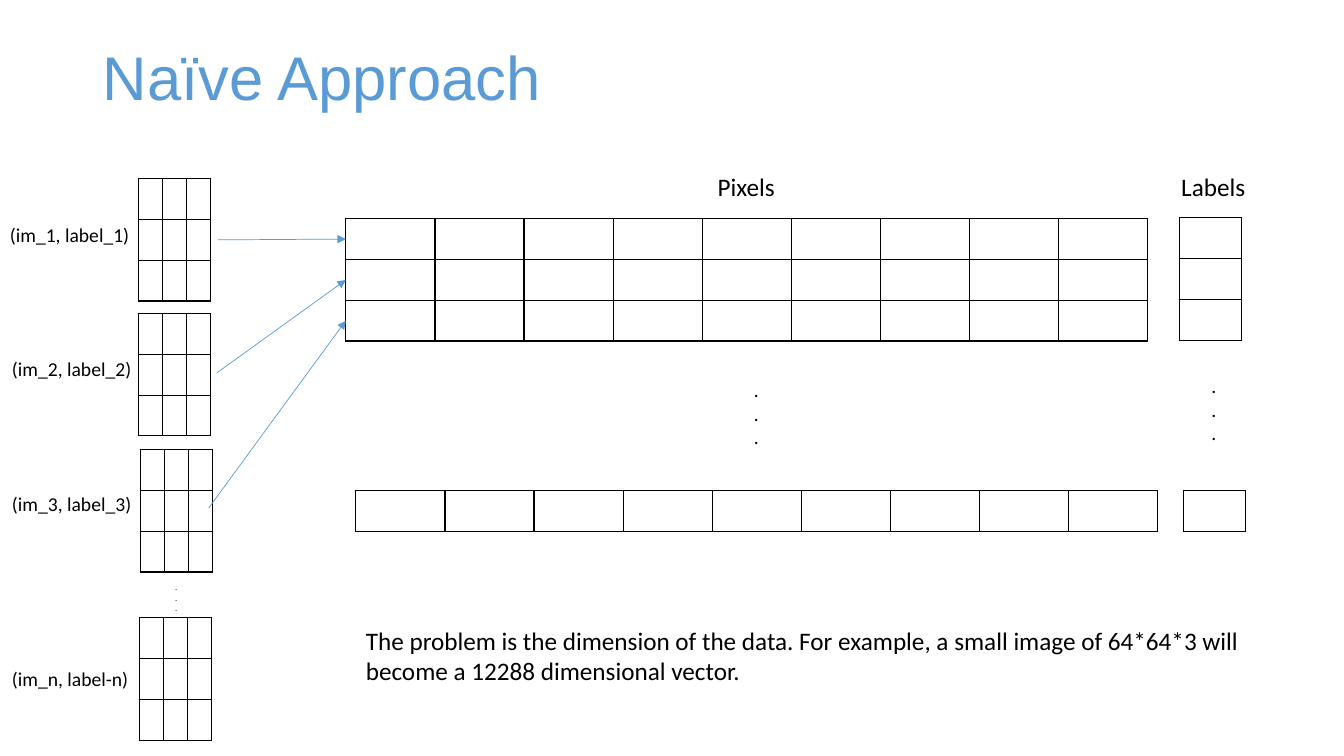
from lxml import etree
from pptx import Presentation
from pptx.dml.color import RGBColor
from pptx.enum.shapes import MSO_CONNECTOR
from pptx.enum.text import MSO_ANCHOR, MSO_AUTO_SIZE, PP_ALIGN
from pptx.oxml import parse_xml
from pptx.oxml.ns import qn
from pptx.util import Inches, Pt

LINE = MSO_CONNECTOR.STRAIGHT
MIDDLE = MSO_ANCHOR.MIDDLE
FIT, FIXED = MSO_AUTO_SIZE.SHAPE_TO_FIT_TEXT, MSO_AUTO_SIZE.NONE
LEFT = PP_ALIGN.LEFT
NS = "http://schemas.openxmlformats.org/drawingml/2006/main"
COLORS = {"blue": "5B9BD5", "ink": "000000"}
WIDE, HIGH = Inches(13.333), Inches(7.5)
ROW = 5.4  # height of a table row, in percent of the slide
DOTS = ".\n.\n."


class Board:
    """Draws on one slide; every length is a percent of the slide's size."""

    def __init__(self, slide):
        self.slide = slide
        self.shapes = slide.shapes

    def scale(self, x, y):
        return int(WIDE * x / 100), int(HIGH * y / 100)

    def style(self, frame, size, font, color):
        for para in frame.paragraphs:
            for run in para.runs:
                run.font.size = Pt(size)
                run.font.name = font
                run.font.color.rgb = RGBColor.from_string(COLORS[color])

    def title(self, text, x, y, w, h):
        shape = self.shapes.title
        shape.left, shape.top = self.scale(x, y)
        shape.width, shape.height = self.scale(w, h)
        frame = shape.text_frame
        frame.text = text
        frame.auto_size = FIXED
        frame.vertical_anchor = MIDDLE
        frame.paragraphs[0].alignment = LEFT
        frame.paragraphs[0].line_spacing = 0.9
        self.style(frame, 44, "Arial", "blue")

    def text(self, text, x, y, w, h, size, wrap=False):
        box = self.shapes.add_textbox(*self.scale(x, y), *self.scale(w, h))
        frame = box.text_frame
        frame.text = text
        frame.word_wrap = wrap
        frame.auto_size = FIT
        self.style(frame, size, "Calibri", "ink")

    def border(self, cell):
        props = cell._tc.get_or_add_tcPr()
        for side in "LRTB":
            props.append(parse_xml(
                f'<a:ln{side} xmlns:a="{NS}" w="12700"><a:solidFill>'
                f'<a:srgbClr val="{COLORS["ink"]}"/></a:solidFill></a:ln{side}>'))

    def grid(self, x, y, rows, cols, wide):
        """Add an empty table whose columns are each `wide` across."""
        frame = self.shapes.add_table(
            rows, cols, *self.scale(x, y), *self.scale(wide * cols, ROW * rows))
        table = frame.table
        table.first_row = table.horz_banding = False
        for cell in table.iter_cells():
            self.border(cell)
            cell.fill.background()

    def arrow(self, x1, y1, x2, y2):
        line = self.shapes.add_connector(
            LINE, *self.scale(x1, y1), *self.scale(x2, y2))
        line.line.width = Pt(0.5)
        line.line.color.rgb = RGBColor.from_string(COLORS["blue"])
        tail = etree.SubElement(line.line._get_or_add_ln(), qn("a:tailEnd"))
        tail.set("type", "triangle")
        etree.SubElement(line._element.spPr, qn("a:effectLst"))


def main():
    deck = Presentation()
    deck.slide_width, deck.slide_height = WIDE, HIGH
    board = Board(deck.slides.add_slide(deck.slide_layouts[5]))
    board.title("Naïve Approach", 6.9, 0.93, 86.25, 19.33)

    # Images: name, name left and top, grid left and top
    images = [
        ("(im_1, label_1)", 0, 28.8, 10.28, 23.6),
        ("(im_2, label_2)", 0.15, 46.53, 10.28, 41.47),
        ("(im_3, label_3)", 0.15, 64.4, 10.43, 59.47),
        ("(im_n, label-n)", 0.15, 87.6, 10.35, 81.73),
    ]
    for name, left, top, x, y in images:
        board.grid(x, y, 3, 3, 1.79)
        board.text(name, left, top, 10.5, 4.53, 14)
    board.text(DOTS, 12.3, 76.4, 1.65, 5.33, 6)

    # Pixel vectors and their labels
    pix_x, pix_y = 25.73, 28.93
    board.grid(pix_x, pix_y, 3, 9, 6.63)
    board.grid(26.48, 64.93, 1, 9, 6.63)
    board.grid(87.75, 28.8, 3, 1, 4.65)
    board.grid(88.05, 64.93, 1, 1, 4.65)
    board.text("Pixels", 52.65, 22, 5.78, 5.33, 18)
    board.text("Labels", 87.15, 22, 6.38, 5.33, 18)
    board.text(DOTS, 55.35, 49.33, 1.88, 10.8, 14)
    board.text(DOTS, 89.4, 48.8, 1.88, 10.8, 14)

    # Each image points at its own row of pixels
    starts = [(16.2, 31.73), (16.13, 49.33), (15.53, 67.2)]
    for i, (x, y) in enumerate(starts):
        board.arrow(x, y, pix_x, pix_y + (i + 0.5) * ROW)

    board.text("The problem is the dimension of the data. For example, a small "
               "image of 64*64*3 will become a 12288 dimensional vector.",
               26.48, 82, 66.6, 9.47, 18, wrap=True)
    deck.save("out.pptx")


if __name__ == "__main__":
    main()
